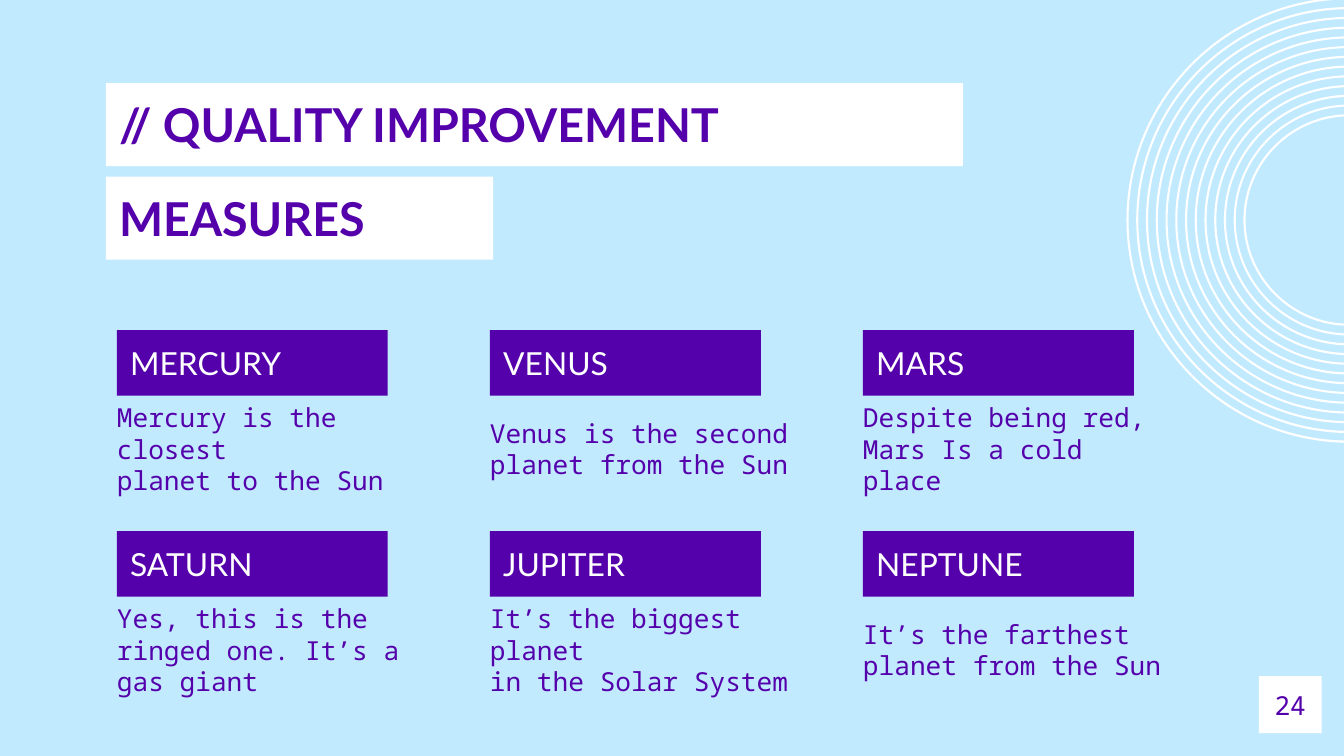
import lxml.etree
import pptx
import pptx.dml.color
import pptx.enum.shapes
import pptx.enum.text
import pptx.oxml.ns
import pptx.util

Cm = pptx.util.Cm
qn = pptx.oxml.ns.qn
COLORS = {"sky": "C2EAFF", "purple": "5401AC", "white": "FFFFFF"}


def paint(shape, color):
    shape.fill.solid()
    shape.fill.fore_color.rgb = pptx.dml.color.RGBColor.from_string(COLORS[color])
    shape.line.fill.background()


def write(box, text, font="Lato", size=14, color="purple", bold=False,
          align="LEFT", anchor="MIDDLE", inset_left=0.25):
    frame = box.text_frame
    frame.word_wrap = True
    frame.auto_size = pptx.enum.text.MSO_AUTO_SIZE.NONE
    frame.vertical_anchor = pptx.enum.text.MSO_ANCHOR[anchor]
    frame.margin_left = Cm(inset_left)
    frame.margin_top = frame.margin_right = frame.margin_bottom = Cm(0.25)
    frame.text = text
    for para in frame.paragraphs:
        para.alignment = pptx.enum.text.PP_ALIGN[align]
        for span in para.runs:
            span.font.name = font
            span.font.size = pptx.util.Pt(size)
            span.font.bold = bold
            span.font.color.rgb = pptx.dml.color.RGBColor.from_string(COLORS[color])


deck = pptx.Presentation()
deck.slide_width = Cm(25.4)
deck.slide_height = Cm(14.29)
page = deck.slides.add_slide(deck.slide_layouts[5])
page.background.fill.solid()
page.background.fill.fore_color.rgb = pptx.dml.color.RGBColor.from_string(COLORS["sky"])
shapes = page.shapes
rectangle = pptx.enum.shapes.MSO_SHAPE.RECTANGLE

ring_count = 13
inner_radius, outer_radius = 2, 4.21
ring_width = 0.04
center_x, center_y = 25.5, 4.16
bend = 0.55
half_circle = [(0, 1), (-bend, 1), (-1, bend), (-1, 0), (-1, -bend), (-bend, -1), (0, -1)]
for index in range(ring_count):
    radius = inner_radius + (outer_radius - inner_radius) * index / (ring_count - 1)
    outline = [(radius * x, radius * y) for x, y in half_circle]
    hole = radius - ring_width
    outline += [(hole * x, hole * y) for x, y in reversed(half_circle)]
    points = [(Cm(center_x + x), Cm(center_y + y)) for x, y in outline]
    builder = shapes.build_freeform(*points[0])
    builder.add_line_segments(points[1:], close=True)
    ring = builder.convert_to_shape()
    ring.shadow.inherit = False
    paint(ring, "white")
    segments = list(ring.element.iter(qn("a:lnTo")))
    for first in (0, 3, 7, 10):
        curve = lxml.etree.Element(qn("a:cubicBezTo"))
        segments[first].addprevious(curve)
        for segment in segments[first:first + 3]:
            curve.append(segment[0])
            segment.getparent().remove(segment)

title = shapes.title
title.left, title.top, title.width, title.height = Cm(2), Cm(1.57), Cm(16.2), Cm(1.57)
paint(title, "white")
write(title, "// QUALITY IMPROVEMENT", size=25, bold=True, anchor="TOP")

second_line = shapes.add_shape(rectangle, Cm(2), Cm(3.34), Cm(7.32), Cm(1.57))
second_line.shadow.inherit = False
paint(second_line, "white")
write(second_line, "MEASURES", size=25, bold=True, anchor="TOP")

planets = [
    ("MERCURY", "Mercury is the closest\nplanet to the Sun"),
    ("VENUS", "Venus is the second planet from the Sun"),
    ("MARS", "Despite being red, Mars Is a cold place"),
    ("SATURN", "Yes, this is the ringed one. It’s a gas giant"),
    ("JUPITER", "It’s the biggest planet\nin the Solar System"),
    ("NEPTUNE", "It’s the farthest planet from the Sun"),
]
for index, (name, description) in enumerate(planets):
    row, column = divmod(index, 3)
    left = Cm(2.21 + 7.05 * column)
    top = 6.24 + 3.8 * row
    heading = shapes.add_shape(rectangle, left, Cm(top), Cm(5.12), Cm(1.24))
    heading.shadow.inherit = False
    paint(heading, "purple")
    write(heading, name, size=17, color="white")
    body = shapes.add_textbox(left, Cm(top + 1.24), Cm(6), Cm(2))
    write(body, description, font="Noto Sans Mono", inset_left=0)

page_number = shapes.add_shape(rectangle, Cm(23.79), Cm(12.78), Cm(1.19), Cm(1.08))
page_number.shadow.inherit = False
paint(page_number, "white")
write(page_number, "24", font="Noto Sans Mono", align="CENTER")

deck.save("out.pptx")
